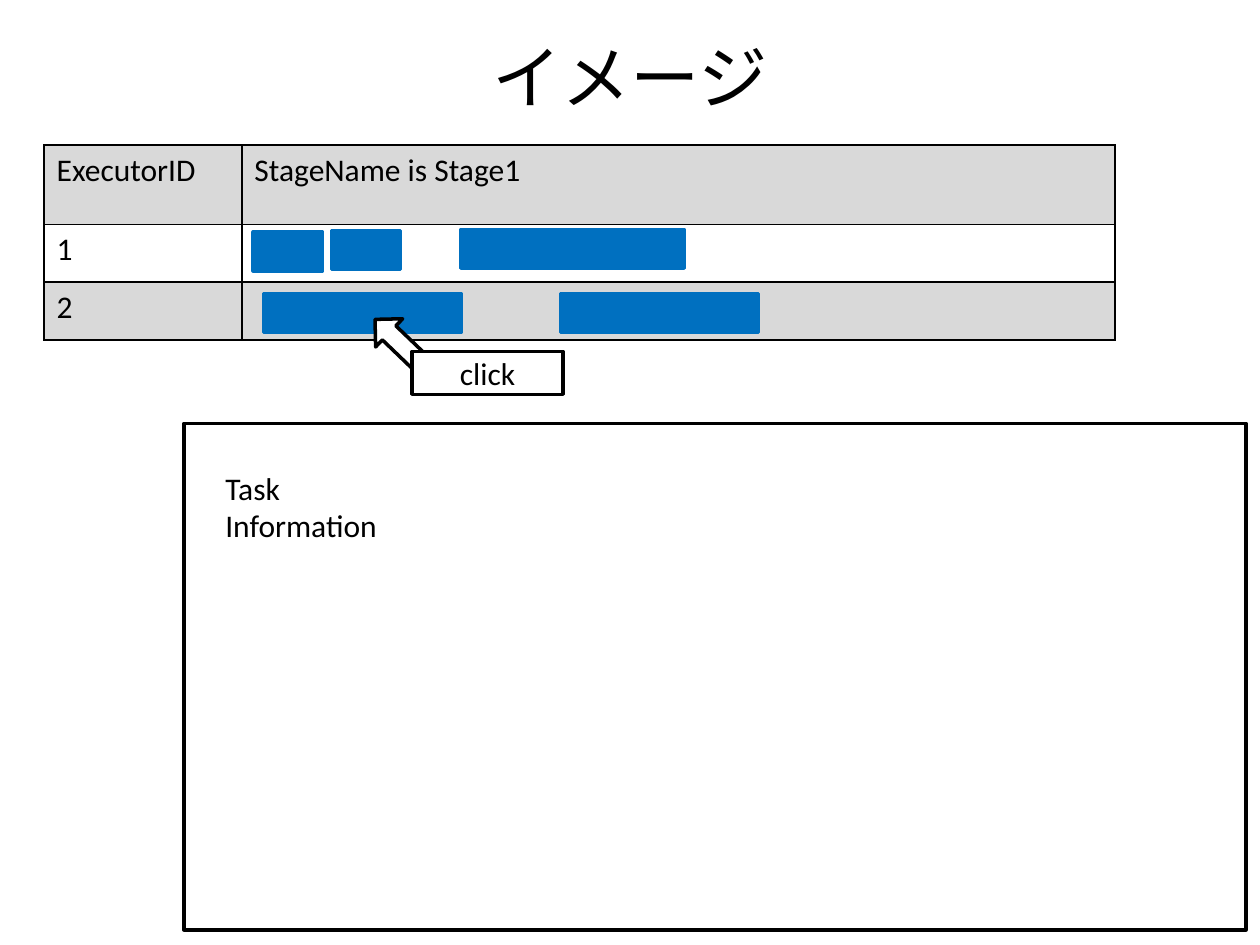
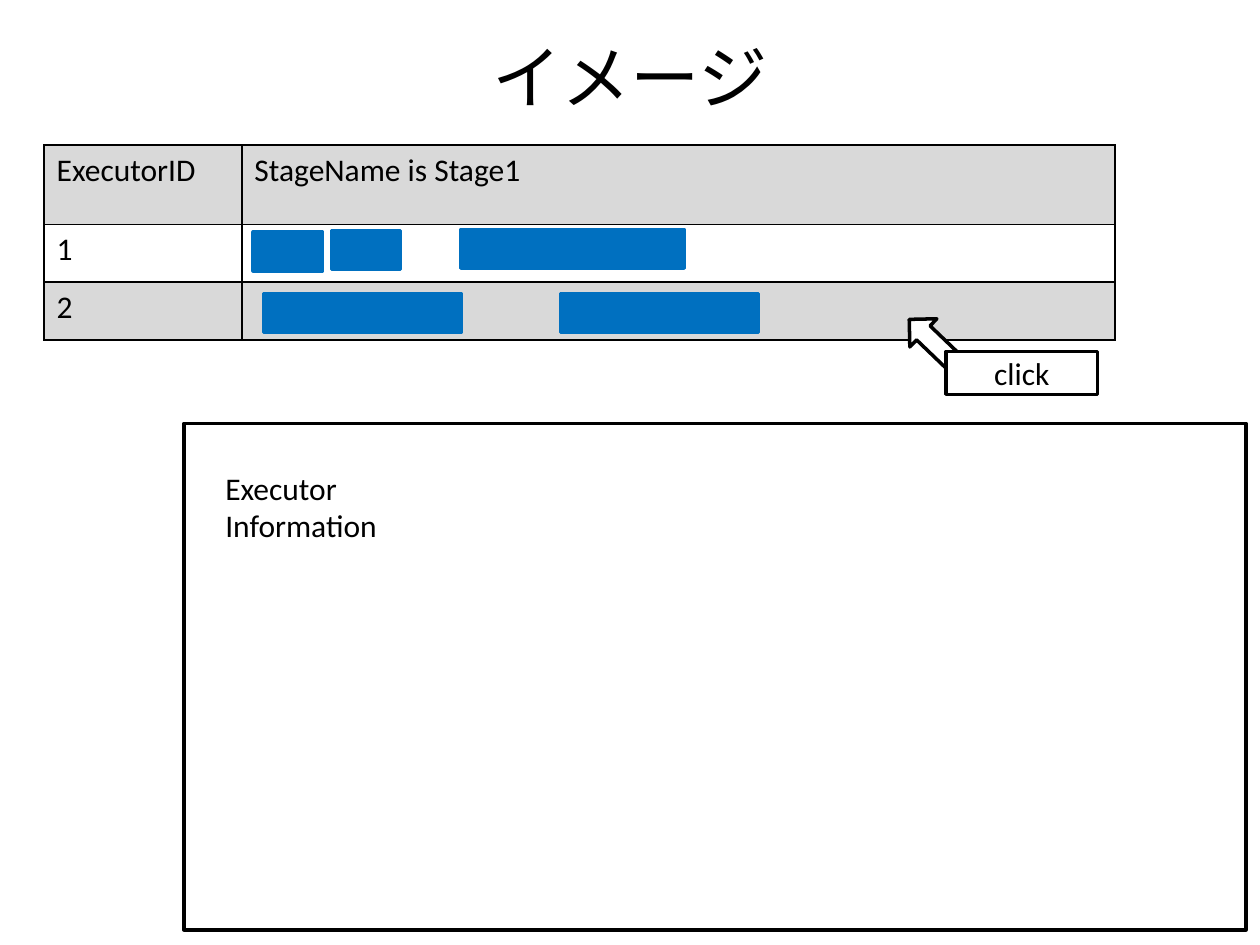
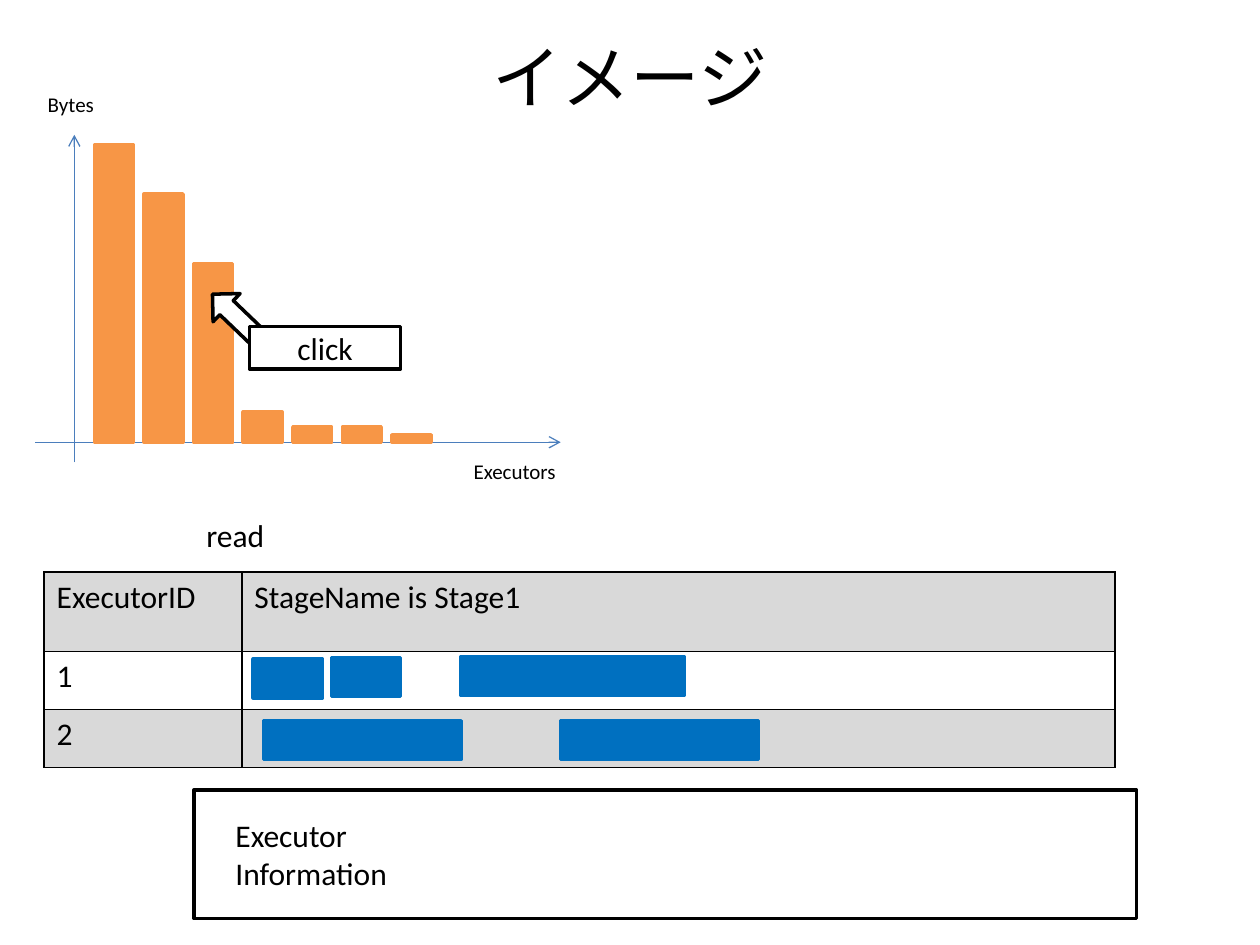
from lxml.etree import SubElement
from pptx import Presentation
from pptx.dml.color import RGBColor
from pptx.enum.shapes import MSO_CONNECTOR, MSO_SHAPE
from pptx.enum.text import MSO_ANCHOR, MSO_AUTO_SIZE, PP_ALIGN
from pptx.oxml.ns import qn
from pptx.util import Inches, Pt

FONT = "Calibri"
BLACK, WHITE, GREY = "000000", "FFFFFF", "D9D9D9"
BLUE, ORANGE, AXIS_BLUE = "0070C0", "F79646", "4B7EBC"
TITLE_ONLY = 5

TABLE_ROWS = [("ExecutorID", "StageName is Stage1"), ("1", ""), ("2", "")]
COLUMN_WIDTHS = (1.57, 6.93)
ROW_HEIGHTS = (0.63, 0.46, 0.46)
# Left, top below the table's top edge, width
TASKS = [(2.01, 0.69, 0.55), (2.09, 1.18, 1.57), (2.63, 0.68, 0.55),
         (3.66, 0.67, 1.77), (4.45, 1.18, 1.57)]
BYTES_READ = [2.36, 1.97, 1.42, 0.24, 0.12, 0.12, 0.06]
BAR_SIZE = 0.31


def rgb(value):
    return RGBColor.from_string(value)


class Deck:
    """Holds the shared style and the slide being built."""

    def __init__(self):
        self.prs = Presentation()
        self.prs.slide_width, self.prs.slide_height = Inches(10), Inches(7.5)
        self.s = None

    def add_slide(self, title):
        self.s = self.prs.slides.add_slide(self.prs.slide_layouts[TITLE_ONLY])
        sp = self.s.shapes.title
        sp.left, sp.top, sp.width, sp.height = map(Inches, (0.5, 0.3, 9, 0.61))
        tf = sp.text_frame
        tf.auto_size = MSO_AUTO_SIZE.NONE
        tf.vertical_anchor = MSO_ANCHOR.MIDDLE
        self.set_text(tf, title, 39.6, PP_ALIGN.CENTER)

    def set_text(self, tf, text, size=18, align=PP_ALIGN.LEFT):
        tf.text = text
        p = tf.paragraphs[0]
        p.alignment = align
        for r in p.runs:
            r.font.name, r.font.size = FONT, Pt(size)
            r.font.color.rgb = rgb(BLACK)

    def shape(self, x, y, w, h, fill, line, kind=MSO_SHAPE.RECTANGLE):
        sp = self.s.shapes.add_shape(kind, *map(Inches, (x, y, w, h)))
        sp.shadow.inherit = False
        sp.fill.solid()
        sp.fill.fore_color.rgb = rgb(fill)
        sp.line.color.rgb = rgb(line)
        sp.line.width = Pt(2)
        return sp

    def text(self, x, y, w, h, text, size=18):
        tf = self.s.shapes.add_textbox(*map(Inches, (x, y, w, h))).text_frame
        tf.word_wrap = True
        tf.auto_size = MSO_AUTO_SIZE.SHAPE_TO_FIT_TEXT
        self.set_text(tf, text, size)

    def axis(self, x1, y1, x2, y2):
        cx = self.s.shapes.add_connector(
            MSO_CONNECTOR.STRAIGHT, *map(Inches, (x1, y1, x2, y2)))
        cx.line.color.rgb = rgb(AXIS_BLUE)
        cx.line.width = Pt(0.75)
        sp_pr = cx._element.spPr
        SubElement(sp_pr.find(qn("a:ln")), qn("a:tailEnd"), type="arrow")
        SubElement(sp_pr, qn("a:effectLst"))

    def border(self, cell):
        tc_pr = cell._tc.get_or_add_tcPr()
        for side in ("L", "R", "T", "B"):
            ln = SubElement(tc_pr, qn(f"a:ln{side}"), w=str(Pt(1)))
            SubElement(SubElement(ln, qn("a:solidFill")), qn("a:srgbClr"), val=BLACK)

    def timeline(self, top):
        """Table of executors with a bar for each task."""
        table = self.s.shapes.add_table(
            len(ROW_HEIGHTS), len(COLUMN_WIDTHS), Inches(0.35), Inches(top),
            Inches(sum(COLUMN_WIDTHS)), Inches(sum(ROW_HEIGHTS))).table
        table.first_row = table.horz_banding = False
        for column, width in zip(table.columns, COLUMN_WIDTHS):
            column.width = Inches(width)
        for i, (row, height) in enumerate(zip(table.rows, ROW_HEIGHTS)):
            row.height = Inches(height)
            for cell, text in zip(row.cells, TABLE_ROWS[i]):
                self.border(cell)
                if i % 2:
                    cell.fill.background()
                else:
                    cell.fill.solid()
                    cell.fill.fore_color.rgb = rgb(GREY)
                self.set_text(cell.text_frame, text)
        for x, dy, w in TASKS:
            self.shape(x, top + dy, w, BAR_SIZE, BLUE, BLUE)

    def click(self, x, y):
        """Pointer arrow with its label."""
        arrow = self.shape(x, y, 0.31, 0.55, WHITE, BLACK, MSO_SHAPE.UP_ARROW)
        arrow.rotation = 313.8
        tf = self.shape(x + 0.25, y + 0.34, 1.2, 0.34, WHITE, BLACK).text_frame
        tf.vertical_anchor = MSO_ANCHOR.MIDDLE
        self.set_text(tf, "click", align=PP_ALIGN.CENTER)

    def info_panel(self, x, y, w, h, text, text_dy):
        self.shape(x, y, w, h, WHITE, BLACK)
        self.text(x + 0.23, y + text_dy, 1.8, 0.71, text)

    def bytes_graph(self):
        base = 3.51
        self.axis(0.59, 3.67, 0.59, 1.07)
        self.axis(0.28, base, 4.45, base)
        self.text(0.28, 0.68, 0.79, 0.3, "Bytes", 12)
        self.text(3.66, 3.59, 1.02, 0.3, "Executors", 12)
        step = 2.36 / (len(BYTES_READ) - 1)
        for i, h in enumerate(BYTES_READ):
            self.shape(0.75 + i * step, base - h, BAR_SIZE, h, ORANGE, ORANGE)
        self.text(1.54, 4.05, 1.57, 0.4, "read")


def main():
    deck = Deck()
    for click_x, info in ((3.02, "Task Information"), (7.26, "Executor Information")):
        deck.add_slide("イメージ")
        deck.timeline(1.15)
        deck.click(click_x, 2.45)
        deck.info_panel(1.46, 3.36, 8.43, 4.02, info, 0.31)

    deck.add_slide("イメージ")
    deck.bytes_graph()
    deck.click(1.73, 2.25)
    deck.info_panel(1.54, 6.27, 7.48, 1.02, "Executor Information", 0.16)
    deck.timeline(4.54)
    deck.prs.save("out.pptx")


if __name__ == "__main__":
    main()
